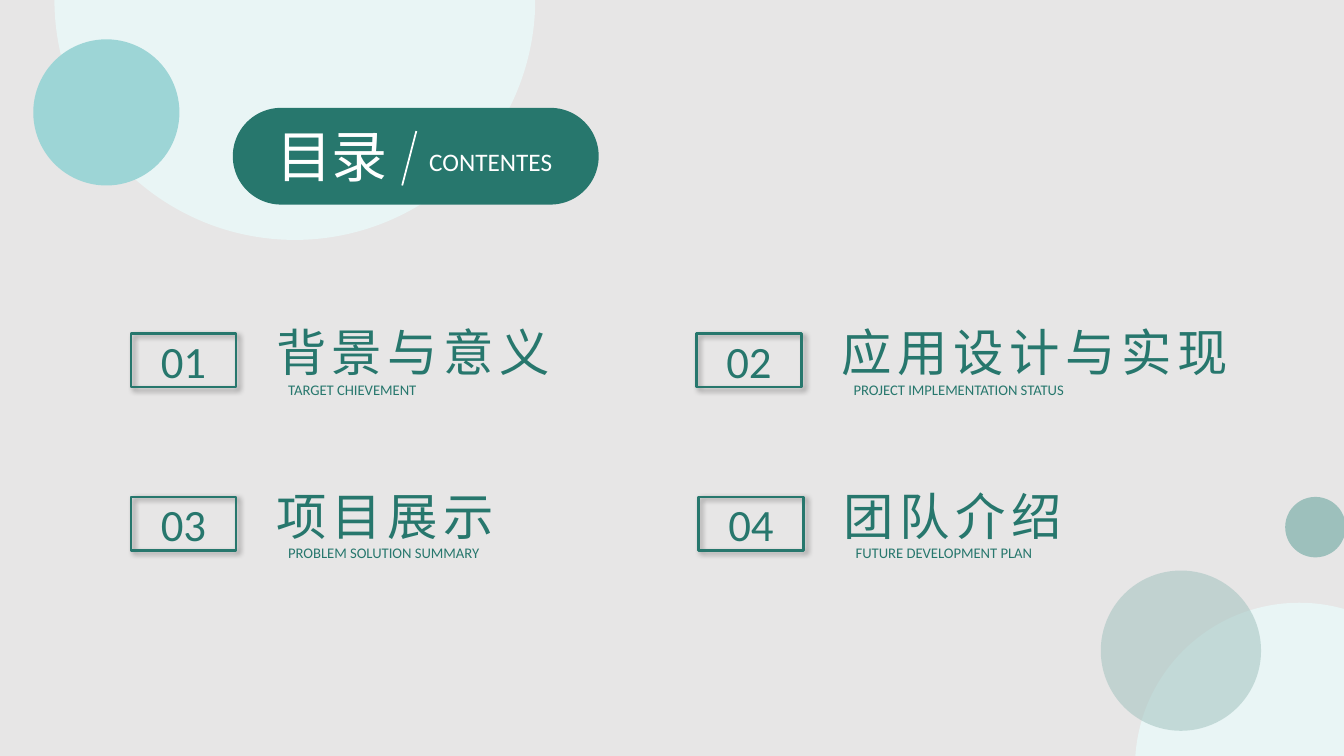
import pptx
import pptx.dml.color
import pptx.enum.shapes
import pptx.enum.text
import pptx.oxml
import pptx.oxml.ns
import pptx.util

RGBColor = pptx.dml.color.RGBColor
SHAPE = pptx.enum.shapes.MSO_SHAPE
ALIGN = pptx.enum.text.PP_ALIGN
NS = pptx.oxml.ns.nsdecls("a")

GREY = RGBColor(0xE7, 0xE6, 0xE6)
MIST = RGBColor(0xE9, 0xF5, 0xF5)
AQUA = RGBColor(0x9D, 0xD5, 0xD6)
SAGE = RGBColor(0x9D, 0xC0, 0xBC)
GREEN = RGBColor(0x27, 0x77, 0x6D)
WHITE = RGBColor(0xFF, 0xFF, 0xFF)

deck = pptx.Presentation()
deck.slide_width = pptx.util.Inches(13.333)
deck.slide_height = pptx.util.Inches(7.5)
column = deck.slide_width / 133.33
row = deck.slide_height / 75

contents = deck.slides.add_slide(deck.slide_layouts[6])
contents.background.fill.solid()
contents.background.fill.fore_color.rgb = GREY


def add_plain(kind, left, top, width, height, fill=None):
    plain = contents.shapes.add_shape(
        kind, round(left * column), round(top * row), round(width * column), round(height * row))
    plain.shadow.inherit = False
    if fill is None:
        plain.fill.background()
    else:
        plain.fill.solid()
        plain.fill.fore_color.rgb = fill
        plain.line.fill.background()
    return plain


def write(text, left, top, width, height, size, color=GREEN, align=ALIGN.LEFT, spacing=0):
    frame = contents.shapes.add_textbox(
        round(left * column), round(top * row), round(width * column), round(height * row)).text_frame
    frame.word_wrap = True
    paragraph = frame.paragraphs[0]
    paragraph.alignment = align
    run = paragraph.add_run()
    run.text = text
    run.font.name = "Calibri"
    run.font.size = pptx.util.Pt(size)
    run.font.color.rgb = color
    if spacing:
        run.font._element.set("spc", str(spacing * 100))


add_plain(SHAPE.OVAL, 5.4, -23.9, 47.7, 47.7, MIST)
add_plain(SHAPE.OVAL, 3.3, 3.9, 14.5, 14.5, AQUA)

banner = add_plain(SHAPE.ROUNDED_RECTANGLE, 23.1, 10.7, 36.3, 9.6, GREEN)
banner.adjustments[0] = 0.5
write("目录", 26.4, 11.6, 13.5, 7.7, 40, color=WHITE)
slash = contents.shapes.add_connector(
    pptx.enum.shapes.MSO_CONNECTOR.STRAIGHT,
    round(39.9 * column), round(18.4 * row), round(41.3 * column), round(13 * row))
slash.line.color.rgb = WHITE
slash.line.width = pptx.util.Pt(1.25)
slash._element.spPr.append(pptx.oxml.parse_xml(f"<a:effectLst {NS}/>"))
write("CONTENTES", 41.6, 14, 17.8, 4, 18, color=WHITE)

chapters = [
    ("01", "背景与意义", "TARGET CHIEVEMENT", 13, 33.1),
    ("02", "应用设计与实现", "PROJECT IMPLEMENTATION STATUS", 69.1, 33.1),
    ("03", "项目展示", "PROBLEM SOLUTION SUMMARY", 13, 49.3),
    ("04", "团队介绍", "FUTURE DEVELOPMENT PLAN", 69.3, 49.3),
]
for number, title, subtitle, left, top in chapters:
    badge = add_plain(SHAPE.RECTANGLE, left, top, 10.4, 5.3)
    badge.line.color.rgb = GREEN
    badge.line.width = pptx.util.Pt(1.75)
    badge._element.spPr.find(pptx.oxml.ns.qn("a:effectLst")).append(pptx.oxml.parse_xml(
        f'<a:outerShdw {NS} blurRad="50800" dist="38100" dir="2700000" algn="tl" rotWithShape="0">'
        '<a:srgbClr val="000000"><a:alpha val="40000"/></a:srgbClr></a:outerShdw>'))
    write(number, left + 0.25, top - 0.5, 9.9, 6.4, 32, align=ALIGN.CENTER)
    write(title, left + 13.4, top - 1.7, 43.4, 7.1, 36, spacing=4)
    write(subtitle, left + 14.6, top + 4.2, 35.2, 2.9, 10.5, align=ALIGN.JUSTIFY)

add_plain(SHAPE.OVAL, 112.6, 59.8, 32.6, 32.6, MIST)
add_plain(SHAPE.OVAL, 127.5, 49.3, 6, 6, SAGE)
veil = add_plain(SHAPE.OVAL, 109.2, 56.6, 15.9, 15.9, SAGE)
veil._element.spPr.find(".//" + pptx.oxml.ns.qn("a:srgbClr")).append(
    pptx.oxml.parse_xml(f'<a:alpha {NS} val="51000"/>'))

deck.save("out.pptx")
